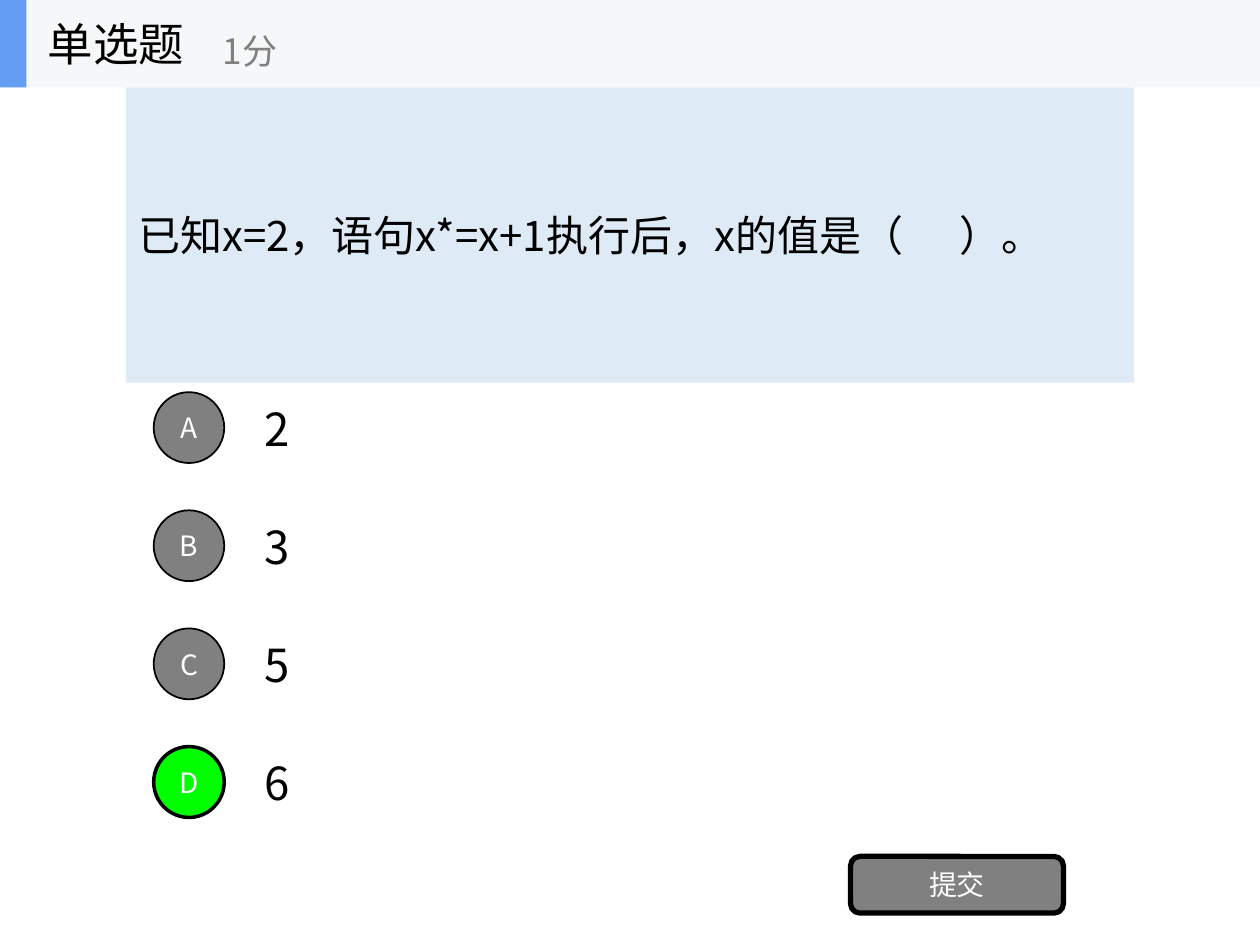
from dataclasses import dataclass

from lxml import etree
from pptx import Presentation
from pptx import util as u
from pptx.dml.color import RGBColor
from pptx.enum import shapes, text
from pptx.oxml.ns import qn


@dataclass(frozen=True)
class Theme:
    font: str = "Noto Sans CJK SC"
    ink: str = "000000"
    white: str = "FFFFFF"
    gray: str = "808080"
    correct: str = "00FF00"
    panel: str = "DEEBF7"
    header: str = "F6F7F8"
    accent: str = "639EF4"
    large: int = 26
    question: int = 24
    score: int = 20
    label: int = 16


THEME = Theme()
WIDTH, HEIGHT = u.Inches(10), u.Inches(7.5)
COLUMNS, ROWS = 10, 8
HEADER_ROWS = 0.74
OPTIONS_ROW = 3.25
OPTION_ROWS = 0.75
BLANK_SPACING = 2700


def cell(column, row, columns, rows):
    column_width, row_height = WIDTH / COLUMNS, HEIGHT / ROWS
    return (round(column * column_width), round(row * row_height),
            round(columns * column_width), round(rows * row_height))


def style_run(run, size, color):
    run.font.size = u.Pt(size)
    run.font.color.rgb = RGBColor.from_string(color)
    run.font.name = THEME.font
    properties = run._r.get_or_add_rPr()
    etree.SubElement(properties, qn("a:ea")).set("typeface", THEME.font)


def write(shape, content, size, color, centered=False, wrap=True):
    frame = shape.text_frame
    frame.text = content
    frame.word_wrap = wrap
    frame.vertical_anchor = text.MSO_ANCHOR.MIDDLE
    paragraph = frame.paragraphs[0]
    paragraph.alignment = text.PP_ALIGN.CENTER if centered else text.PP_ALIGN.LEFT
    for run in paragraph.runs:
        style_run(run, size, color)
    return paragraph


def add_box(parent, kind, place, fill, line_width=0):
    shape = parent.add_shape(kind, *place)
    shape.shadow.inherit = False
    shape.fill.solid()
    shape.fill.fore_color.rgb = RGBColor.from_string(fill)
    if line_width:
        shape.line.color.rgb = RGBColor.from_string(THEME.ink)
        shape.line.width = u.Pt(line_width)
    else:
        shape.line.fill.background()
    return shape


def add_label(parent, place, content, size, color, wrap=True):
    write(parent.add_textbox(*place), content, size, color, wrap=wrap)


def add_question(slide):
    panel = add_box(slide.shapes, shapes.MSO_SHAPE.RECTANGLE,
                    cell(1, HEADER_ROWS, 8, 2.5), THEME.panel)
    paragraph = write(panel, "已知x=2，语句x*=x+1执行后，x的值是（",
                      THEME.question, THEME.ink)
    for part in (" ", "）。"):
        run = paragraph.add_run()
        run.text = part
        style_run(run, THEME.question, THEME.ink)
        if part == " ":
            run._r.get_or_add_rPr().set("spc", str(BLANK_SPACING))


def add_option(slide, index, letter, answer, correct):
    row = OPTIONS_ROW + index
    add_label(slide.shapes, cell(2, row, 7, OPTION_ROWS), answer, THEME.large, THEME.ink)
    bubble = add_box(slide.shapes, shapes.MSO_SHAPE.OVAL,
                     cell(1.22, row + 0.07, 0.56, 0.6),
                     THEME.correct if correct else THEME.gray, 2 if correct else 1)
    write(bubble, letter, THEME.label, THEME.white, centered=True, wrap=False)


def add_submit(slide):
    button = add_box(slide.shapes, shapes.MSO_SHAPE.ROUNDED_RECTANGLE,
                     cell(6.75, 7.25, 1.69, 0.48), THEME.gray, 3)
    write(button, "提交", THEME.label, THEME.white, centered=True)


def add_header(slide):
    header = slide.shapes.add_group_shape().shapes
    for columns, fill in ((COLUMNS, THEME.header), (0.21, THEME.accent)):
        add_box(header, shapes.MSO_SHAPE.RECTANGLE, cell(0, 0, columns, HEADER_ROWS), fill)
    add_label(header, cell(0.28, 0, 2.08, HEADER_ROWS), "单选题",
              THEME.large, THEME.ink, wrap=False)
    add_label(header, cell(1.67, 0.13, 2.5, 0.6), "1分",
              THEME.score, THEME.gray, wrap=False)


def main():
    presentation = Presentation()
    presentation.slide_width, presentation.slide_height = WIDTH, HEIGHT
    slide = presentation.slides.add_slide(presentation.slide_layouts[6])
    add_question(slide)
    for index, (letter, answer) in enumerate(zip("ABCD", "2356")):
        add_option(slide, index, letter, answer, correct=letter == "D")
    add_submit(slide)
    add_header(slide)
    presentation.save("out.pptx")


if __name__ == "__main__":
    main()
